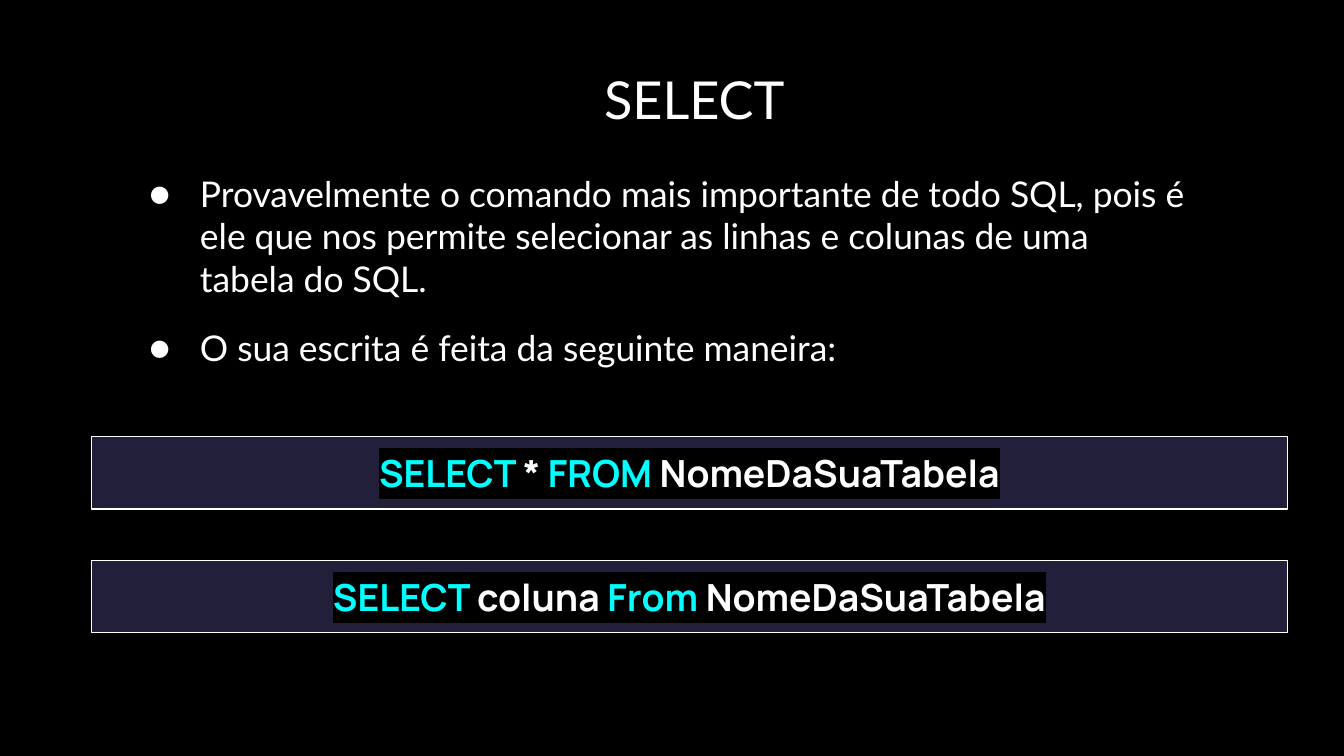
from lxml.etree import SubElement
from pptx import Presentation
from pptx.dml.color import RGBColor
from pptx.enum.shapes import MSO_SHAPE as SHAPE
from pptx.enum.text import MSO_ANCHOR as ANCHOR, PP_ALIGN as ALIGN
from pptx.oxml import parse_xml
from pptx.oxml.ns import nsdecls, qn
from pptx.util import Cm, Pt

BLACK = RGBColor(0x00, 0x00, 0x00)
WHITE = RGBColor(0xFF, 0xFF, 0xFF)
CYAN = RGBColor(0x00, 0xFF, 0xFF)
NAVY = RGBColor(0x22, 0x1F, 0x3B)

BULLETS = [
    "Provavelmente o comando mais importante de todo SQL, pois é ele que nos "
    "permite selecionar as linhas e colunas de uma tabela do SQL.",
    "O sua escrita é feita da seguinte maneira:",
]
QUERIES = [
    [("SELECT ", CYAN), ("*", WHITE), (" FROM ", CYAN), ("NomeDaSuaTabela", WHITE)],
    [("SELECT ", CYAN), ("coluna ", WHITE), ("From ", CYAN), ("NomeDaSuaTabela", WHITE)],
]


def set_margins(tf):
    tf.word_wrap = True
    tf.margin_left = tf.margin_right = tf.margin_top = tf.margin_bottom = Cm(0.25)


def style_run(r, font, size, color, bold=None):
    r.font.size = Pt(size)
    r.font.bold = bold
    r.font.color.rgb = color
    r.font.name = font


def highlight(r, color):
    mark = parse_xml(
        f'<a:highlight {nsdecls("a")}><a:srgbClr val="{color}"/></a:highlight>'
    )
    r._r.get_or_add_rPr().find(qn("a:solidFill")).addnext(mark)


def set_bullet(p):
    pPr = p._p.get_or_add_pPr()
    pPr.set("marL", str(Cm(1.27)))
    pPr.set("indent", str(-Cm(0.96)))
    color = SubElement(pPr, qn("a:buClr"))
    SubElement(color, qn("a:srgbClr")).set("val", str(WHITE))
    SubElement(pPr, qn("a:buFont")).set("typeface", "Lato")
    SubElement(pPr, qn("a:buChar")).set("char", "●")


def add_text(s, left, top, width, height, lines, size):
    tf = s.shapes.add_textbox(left, top, width, height).text_frame
    set_margins(tf)
    tf.text = "\n".join(lines)
    for p in tf.paragraphs:
        style_run(p.runs[0], "Lato", size, WHITE)
    return tf.paragraphs


def add_title(s, text):
    p, = add_text(s, Cm(3.48), Cm(1.02), Cm(19.28), Cm(1.7), [text], 28)
    p.alignment = ALIGN.CENTER


def add_bullets(s, lines):
    paragraphs = add_text(s, Cm(2.26), Cm(3), Cm(20.5), Cm(4.29), lines, 19)
    for i, p in enumerate(paragraphs):
        if i:
            p.space_before = Pt(14)
        set_bullet(p)


def add_query(s, top, parts):
    sp = s.shapes.add_shape(SHAPE.RECTANGLE, Cm(1.73), top, Cm(22.6), Cm(1.37))
    sp.shadow.inherit = False
    sp.fill.solid()
    sp.fill.fore_color.rgb = NAVY
    sp.line.color.rgb = WHITE
    sp.line.width = Pt(0.75)
    tf = sp.text_frame
    set_margins(tf)
    tf.vertical_anchor = ANCHOR.MIDDLE
    p = tf.paragraphs[0]
    p.alignment = ALIGN.CENTER
    for text, color in parts:
        r = p.add_run()
        r.text = text
        style_run(r, "Manrope", 20, color, bold=True)
        highlight(r, BLACK)


def main():
    prs = Presentation()
    prs.slide_width, prs.slide_height = Cm(25.4), Cm(14.29)
    s = prs.slides.add_slide(prs.slide_layouts[6])
    s.background.fill.solid()
    s.background.fill.fore_color.rgb = BLACK
    add_bullets(s, BULLETS)
    add_title(s, "SELECT")
    for i, parts in enumerate(QUERIES):
        add_query(s, Cm(8.25 + 2.34 * i), parts)
    prs.save("out.pptx")


if __name__ == "__main__":
    main()
